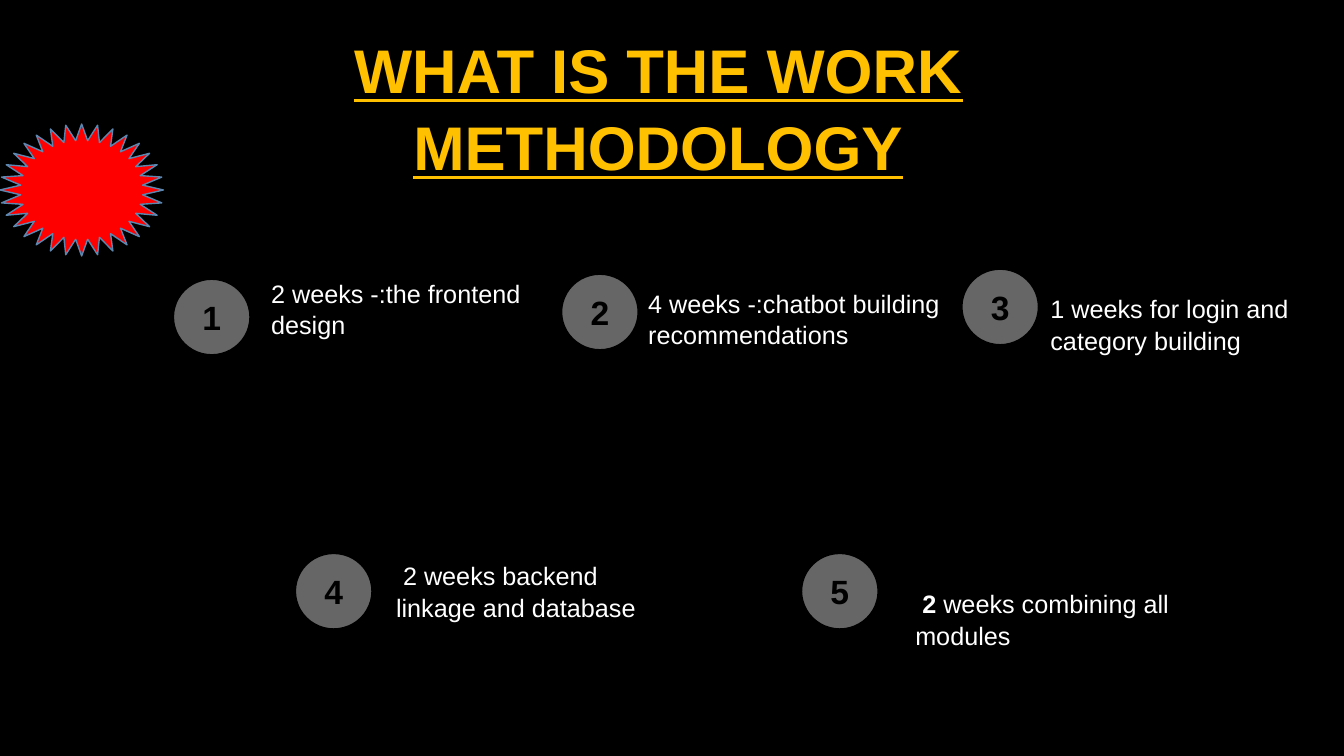
"""Build the work methodology slide with five numbered steps."""
from pptx import Presentation
from pptx.dml.color import RGBColor
from pptx.enum.shapes import MSO_SHAPE
from pptx.enum.text import MSO_ANCHOR, PP_ALIGN
from pptx.util import Inches, Pt

STAR, OVAL = MSO_SHAPE.STAR_32_POINT, MSO_SHAPE.OVAL
TOP, MIDDLE = MSO_ANCHOR.TOP, MSO_ANCHOR.MIDDLE
CENTER = PP_ALIGN.CENTER
LINE_SPACING = 1.04
COLORS = {
    "black": "000000",
    "white": "FFFFFF",
    "gold": "FFC000",
    "red": "FF0000",
    "blue": "5C87B1",
    "gray": "666666",
}


def add_run(p, text, size, color, bold=False):
    r = p.add_run()
    r.text = text
    r.font.name = "Arial"
    r.font.size = Pt(size)
    r.font.bold = bold
    r.font.color.rgb = RGBColor.from_string(COLORS[color])
    return r


def add_filled_shape(kind, left, top, width, height, fill, line):
    sp = slide.shapes.add_shape(
        kind, Inches(left), Inches(top), Inches(width), Inches(height))
    sp.shadow.inherit = False
    sp.fill.solid()
    sp.fill.fore_color.rgb = RGBColor.from_string(COLORS[fill])
    sp.line.color.rgb = RGBColor.from_string(COLORS[line])
    sp.line.width = Pt(1)
    return sp


prs = Presentation()
prs.slide_width, prs.slide_height = Inches(13.33), Inches(7.5)
slide = prs.slides.add_slide(prs.slide_layouts[5])
slide.background.fill.solid()
slide.background.fill.fore_color.rgb = RGBColor.from_string(COLORS["black"])

title = slide.shapes.title
title.left, title.top = Inches(1.23), Inches(0.24)
title.width, title.height = Inches(10.6), Inches(1.57)
tf = title.text_frame
tf.word_wrap = True
tf.vertical_anchor = TOP
p = tf.paragraphs[0]
p.alignment = CENTER
p.line_spacing = LINE_SPACING
r = add_run(p, "WHAT IS THE WORK METHODOLOGY", 44, "gold", True)
r.font.underline = True

add_filled_shape(STAR, 0, 1.23, 1.62, 1.31, "red", "blue")

# Each step: circle left and top, text left, top and width, runs as (text, bold)
steps = [
    (1.72, 2.77, 2.59, 2.70, 3.05, [("2 weeks -:the frontend design", False)]),
    (5.57, 2.72, 6.33, 2.80, 3.29,
     [("4 weeks -:chatbot building recommendations", False)]),
    (9.54, 2.67, 10.32, 2.85, 2.8,
     [("1 weeks for login and category building", False)]),
    (2.93, 5.49, 3.83, 5.50, 2.7,
     [(" ", True), ("2 weeks backend linkage and database", False)]),
    (7.95, 5.49, 8.98, 5.78, 3.17,
     [(" 2 ", True), ("weeks combining all modules", False)]),
]
for number, (left, top, text_left, text_top, width, runs) in enumerate(steps, 1):
    box = slide.shapes.add_textbox(
        Inches(text_left), Inches(text_top), Inches(width), Inches(0.7))
    box.text_frame.word_wrap = True
    p = box.text_frame.paragraphs[0]
    p.line_spacing = LINE_SPACING
    for text, bold in runs:
        add_run(p, text, 18, "white", bold)

    sp = add_filled_shape(OVAL, left, top, 0.76, 0.75, "gray", "black")
    sp.text_frame.vertical_anchor = MIDDLE
    p = sp.text_frame.paragraphs[0]
    p.alignment = CENTER
    add_run(p, str(number), 24, "black", True)

prs.save("out.pptx")
